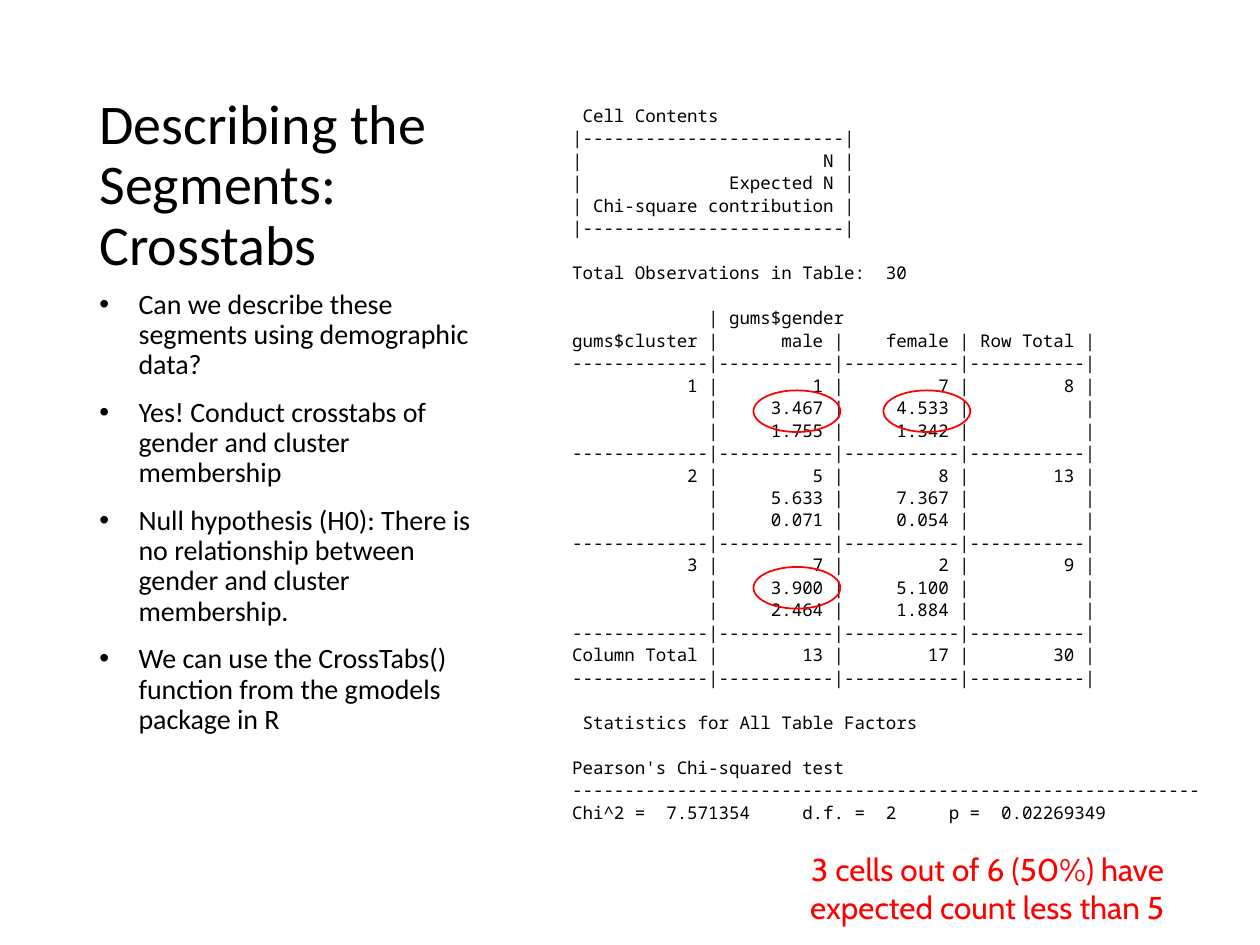
from dataclasses import dataclass

from lxml import etree
from pptx import Presentation
from pptx import util as u
from pptx.dml.color import RGBColor
from pptx.enum import shapes, text
from pptx.oxml import ns


@dataclass(frozen=True)
class Theme:
    ink: RGBColor = RGBColor(0, 0, 0)
    alert: RGBColor = RGBColor(0xFF, 0, 0)
    sans: str = "Calibri"
    mono: str = "Noto Sans Mono"
    note: str = "Cabin"
    title_size: float = 32
    list_size: float = 16
    output_size: float = 10
    note_size: float = 18
    output_pitch: float = 12.83


@dataclass(frozen=True)
class Box:
    """Position and size in centimetres."""
    left: float
    top: float
    width: float
    height: float

    def lengths(self) -> tuple:
        return tuple(u.Cm(n) for n in (self.left, self.top, self.width, self.height))


@dataclass(frozen=True)
class ClusterRow:
    cluster: int
    counts: tuple
    expected: tuple
    contributions: tuple


@dataclass(frozen=True)
class OutputLine:
    words: str
    gap_before: bool = False


THEME = Theme()
TITLE_BOX = Box(1.75, 1.27, 8.2, 4.45)
LIST_BOX = Box(1.75, 5.72, 8.2, 10.59)
OUTPUT_BOX = Box(11.28, 1.96, 14.12, 15.6)
NOTE_BOX = Box(14.12, 17.02, 9.6, 1.8)
HANGING = u.Cm(0.79)

RINGS = [Box(left, top, 1.75, 0.84)
         for left, top in ((15.19, 7.87), (15.19, 11.43), (17.81, 7.87))]

POINTS = [
    "Can we describe these segments using demographic data?",
    "Yes! Conduct crosstabs of gender and cluster membership",
    "Null hypothesis (H0): There is no relationship between gender and cluster membership.",
    "We can use the CrossTabs() function from the gmodels package in R",
]

CLUSTERS = [
    ClusterRow(1, (1, 7, 8), ("3.467", "4.533"), ("1.755", "1.342")),
    ClusterRow(2, (5, 8, 13), ("5.633", "7.367"), ("0.071", "0.054")),
    ClusterRow(3, (7, 2, 9), ("3.900", "5.100"), ("2.464", "1.884")),
]


def table_line(label, male, female, total="") -> OutputLine:
    return OutputLine(f"{label:>12} |{male:>10} |{female:>10} |{total:>10} |")


def crosstab_lines() -> list[OutputLine]:
    """The console output of the crosstab, line by line."""
    key_rule = OutputLine(f"|{'-' * 25}|")
    rule = OutputLine("-" * 13 + "|" + ("-" * 11 + "|") * 3)
    lines = [OutputLine(" Cell Contents"), key_rule]
    lines += [OutputLine(f"| {entry:>23} |")
              for entry in ("N", "Expected N", "Chi-square contribution")]
    lines += [
        key_rule,
        OutputLine("Total Observations in Table:  30", True),
        OutputLine(f"{'':13}| gums$gender", True),
        table_line("gums$cluster", "male", "female", "Row Total"),
        rule,
    ]
    for row in CLUSTERS:
        lines += [
            table_line(row.cluster, *row.counts),
            table_line("", *row.expected),
            table_line("", *row.contributions),
            rule,
        ]
    lines += [
        table_line("Column Total", 13, 17, 30),
        rule,
        OutputLine(" Statistics for All Table Factors", True),
        OutputLine("Pearson's Chi-squared test", True),
        OutputLine("-" * 60),
        OutputLine("Chi^2 =  7.571354     d.f. =  2     p =  0.02269349"),
    ]
    return lines


def place(shape, box: Box) -> None:
    shape.left, shape.top, shape.width, shape.height = box.lengths()


def prepare(shape, anchor=text.MSO_ANCHOR.TOP):
    frame = shape.text_frame
    frame.word_wrap = True
    frame.auto_size = text.MSO_AUTO_SIZE.NONE
    frame.vertical_anchor = anchor
    return frame


def next_para(frame, index: int):
    return frame.add_paragraph() if index else frame.paragraphs[0]


def add_span(para, words: str, font: str, size: float, color: RGBColor) -> None:
    span = para.add_run()
    span.text = words
    span.font.name = font
    span.font.size = u.Pt(size)
    span.font.color.rgb = color


def set_indent(para, margin: int, first: int):
    properties = para._p.get_or_add_pPr()
    properties.set("marL", str(margin))
    properties.set("indent", str(first))
    return properties


def fill_title(shape) -> None:
    place(shape, TITLE_BOX)
    para = prepare(shape, text.MSO_ANCHOR.BOTTOM).paragraphs[0]
    para.alignment = text.PP_ALIGN.LEFT
    para.line_spacing = 0.9
    add_span(para, "Describing the Segments: Crosstabs",
             THEME.sans, THEME.title_size, THEME.ink)


def fill_list(shape) -> None:
    place(shape, LIST_BOX)
    frame = prepare(shape)
    for index, point in enumerate(POINTS):
        para = next_para(frame, index)
        para.line_spacing = 0.9
        para.space_before = u.Pt(10)
        set_indent(para, HANGING, -HANGING)
        add_span(para, point, THEME.sans, THEME.list_size, THEME.ink)


def fill_output(shape) -> None:
    place(shape, OUTPUT_BOX)
    frame = prepare(shape)
    for index, line in enumerate(crosstab_lines()):
        para = next_para(frame, index)
        para.line_spacing = u.Pt(THEME.output_pitch)
        para.space_before = u.Pt(THEME.output_pitch if line.gap_before else 0)
        etree.SubElement(set_indent(para, 0, 0), ns.qn("a:buNone"))
        add_span(para, line.words, THEME.mono, THEME.output_size, THEME.ink)


def add_note(page) -> None:
    para = prepare(page.shapes.add_textbox(*NOTE_BOX.lengths())).paragraphs[0]
    para.alignment = text.PP_ALIGN.RIGHT
    add_span(para, "3 cells out of 6 (50%) have expected count less than 5",
             THEME.note, THEME.note_size, THEME.alert)


def add_ring(page, box: Box) -> None:
    ring = page.shapes.add_shape(shapes.MSO_SHAPE.OVAL, *box.lengths())
    ring.shadow.inherit = False
    ring.fill.background()
    ring.line.color.rgb = THEME.alert
    ring.line.width = u.Pt(1)


def main() -> None:
    deck = Presentation()
    deck.slide_width, deck.slide_height = u.Cm(25.4), u.Cm(19.05)
    page = deck.slides.add_slide(deck.slide_layouts.get_by_name("Two Content"))
    title, points, output = page.placeholders
    fill_title(title)
    fill_list(points)
    fill_output(output)
    add_note(page)
    for box in RINGS:
        add_ring(page, box)
    deck.save("out.pptx")


if __name__ == "__main__":
    main()
